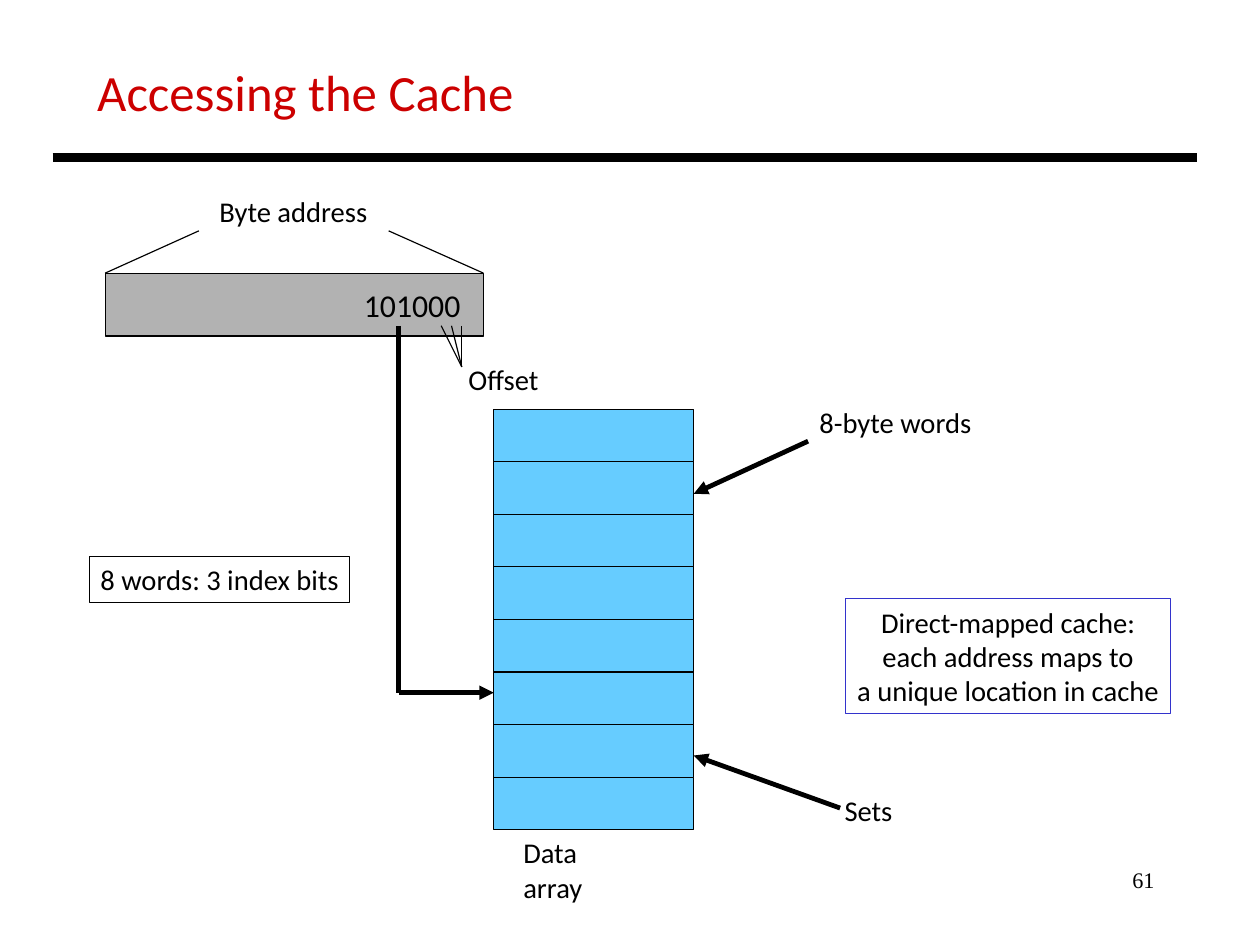
from lxml import etree
from pptx import Presentation
from pptx import util as u
from pptx.dml.color import RGBColor
from pptx.enum import shapes, text
from pptx.oxml.ns import qn

BLACK = "000000"
LEFT, CENTER, RIGHT = text.PP_ALIGN.LEFT, text.PP_ALIGN.CENTER, text.PP_ALIGN.RIGHT


def color(value):
    return RGBColor.from_string(value)


def set_text(shape, lines, size=18, align=LEFT, hue=BLACK, font="Calibri",
             wrap=False, anchor=text.MSO_ANCHOR.TOP):
    frame = shape.text_frame
    frame.text = "\n".join(lines)
    frame.word_wrap = wrap
    frame.auto_size = text.MSO_AUTO_SIZE.NONE
    frame.vertical_anchor = anchor
    for paragraph in frame.paragraphs:
        paragraph.alignment = align
        paragraph.font.size = u.Pt(size)
        paragraph.font.name = font
        paragraph.font.color.rgb = color(hue)


def add_label(slide, box, lines, **style):
    label = slide.shapes.add_textbox(*map(u.Inches, box))
    set_text(label, lines, **style)


def add_box(slide, box, fill=None, line=BLACK):
    shape = slide.shapes.add_shape(shapes.MSO_SHAPE.RECTANGLE, *map(u.Inches, box))
    shape.shadow.inherit = False
    if fill:
        shape.fill.solid()
        shape.fill.fore_color.rgb = color(fill)
    else:
        shape.fill.background()
    shape.line.color.rgb = color(line)
    shape.line.width = u.Pt(0.75)
    return shape


def add_line(slide, start, end, width=0.75, arrow=False):
    connector = slide.shapes.add_connector(
        shapes.MSO_CONNECTOR.STRAIGHT, *map(u.Inches, (*start, *end)))
    connector.line.color.rgb = color(BLACK)
    connector.line.width = u.Pt(width)
    if arrow:
        line = connector._element.spPr.find(qn("a:ln"))
        etree.SubElement(line, qn("a:tailEnd")).set("type", "triangle")
    etree.SubElement(connector._element.spPr, qn("a:effectLst"))


def add_header(slide, left, top, width, height):
    title = slide.shapes.title
    title.left, title.top = u.Inches(left), u.Inches(top)
    title.width, title.height = u.Inches(width), u.Inches(height)
    set_text(title, ["Accessing the Cache"], size=32, hue="CC0000", wrap=True)
    rule_y = top + height + 0.27
    add_line(slide, (0.46, rule_y), (10.47, rule_y), 6)


def add_data_array(slide, left, top, width, height, sets=8):
    row = height / sets
    for index in range(sets):
        add_box(slide, (left, top + index * row, width, row), fill="66CCFF")
    add_label(slide, (left + 0.16, top + height, 1.2, 0.4), ["Data array"], wrap=True)

    # Callouts on the right side
    right = left + width
    add_label(slide, (right + 1, top - 0.09, 1.53, 0.4), ["8-byte words"])
    add_line(slide, (right + 1, top + 0.28), (right, top + 0.74), 3, arrow=True)
    add_label(slide, (right + 1.22, top + 3.31, 0.62, 0.4), ["Sets"])
    add_line(slide, (right + 1.28, top + 3.49), (right, top + 3.03), 3, arrow=True)


def add_address(slide, left, top, width, height):
    right = left + width
    address = add_box(slide, (left, top, width, height), fill="B2B2B2")
    set_text(address, ["101000"], size=20, align=RIGHT, anchor=text.MSO_ANCHOR.MIDDLE)
    address.text_frame.margin_right = u.Inches(0.2)

    # Heading with lines to both ends of the address
    add_label(slide, (left + 0.9, top - 0.74, 1.49, 0.4), ["Byte address"])
    add_line(slide, (left + 0.82, top - 0.37), (left, top))
    add_line(slide, (right - 0.83, top - 0.37), (right, top))

    # Three offset bits meet at one point
    bits_y = top + 0.46
    offset_x = right - 0.19
    for bit in range(3):
        add_line(slide, (offset_x - bit * 0.09, bits_y), (offset_x, bits_y + 0.36))
    add_label(slide, (offset_x - 0.04, top + 0.73, 0.81, 0.4), ["Offset"])

    # Index bits select a set
    corner = (right - 0.74, top + 3.67)
    add_line(slide, (corner[0], bits_y), corner, 3)
    add_line(slide, corner, (right + 0.09, corner[1]), 3, arrow=True)


def add_remarks(slide, index_box, mapping_box):
    set_text(add_box(slide, index_box), ["8 words: 3 index bits"])
    set_text(add_box(slide, mapping_box, line="3333CC"),
             ["Direct-mapped cache:", "each address maps to", "a unique location in cache"],
             align=CENTER)


def main():
    # The page measures 28 by 21 centimetres
    presentation = Presentation()
    presentation.slide_width = u.Cm(28)
    presentation.slide_height = u.Cm(21)
    slide = presentation.slides.add_slide(presentation.slide_layouts[5])

    add_header(slide, 0.75, 0.48, 4, 0.63)
    add_data_array(slide, 4.32, 3.58, 1.75, 3.68)
    add_address(slide, 0.92, 2.39, 3.31, 0.55)
    add_remarks(slide, (0.78, 4.87, 2.28, 0.4), (7.4, 5.24, 2.84, 1))

    # Slide number
    add_label(slide, (7.9, 7.53, 2.3, 0.55), ["61"], size=14, align=RIGHT,
              font="Times New Roman", wrap=True)
    presentation.save("out.pptx")


if __name__ == "__main__":
    main()
